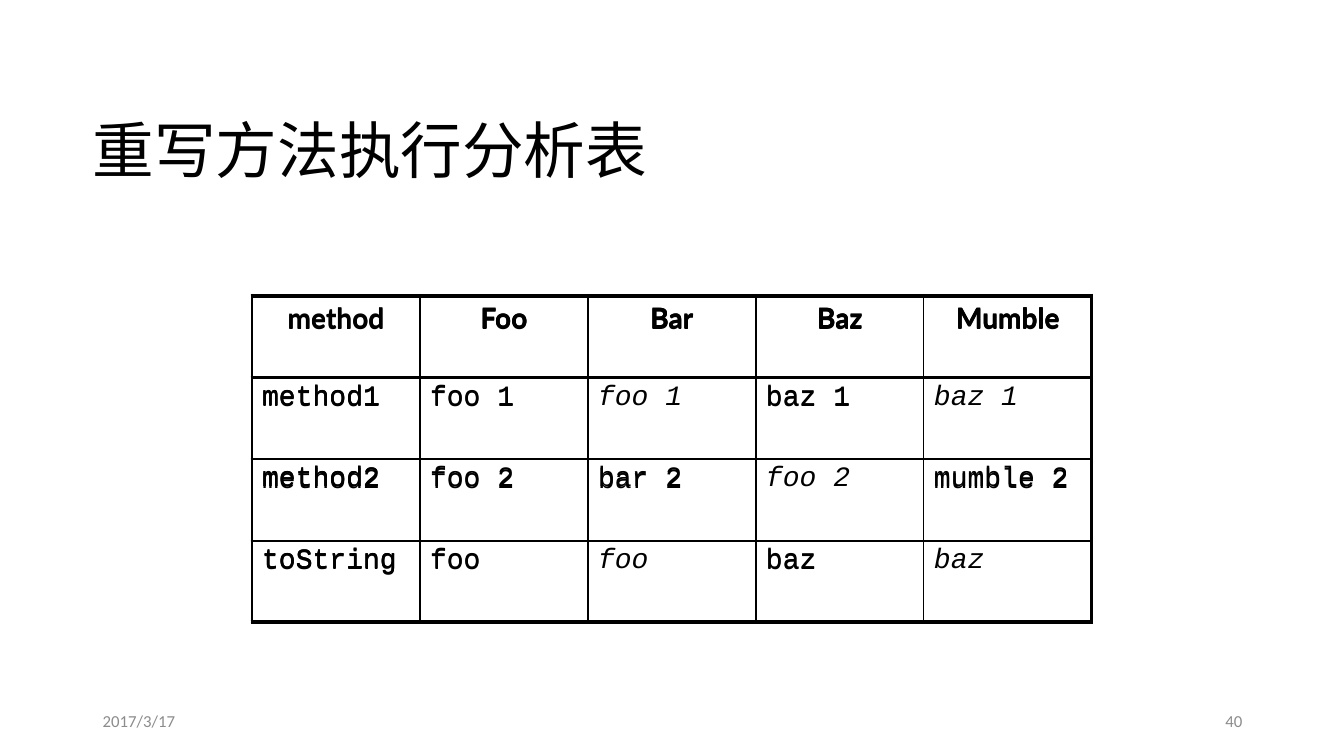
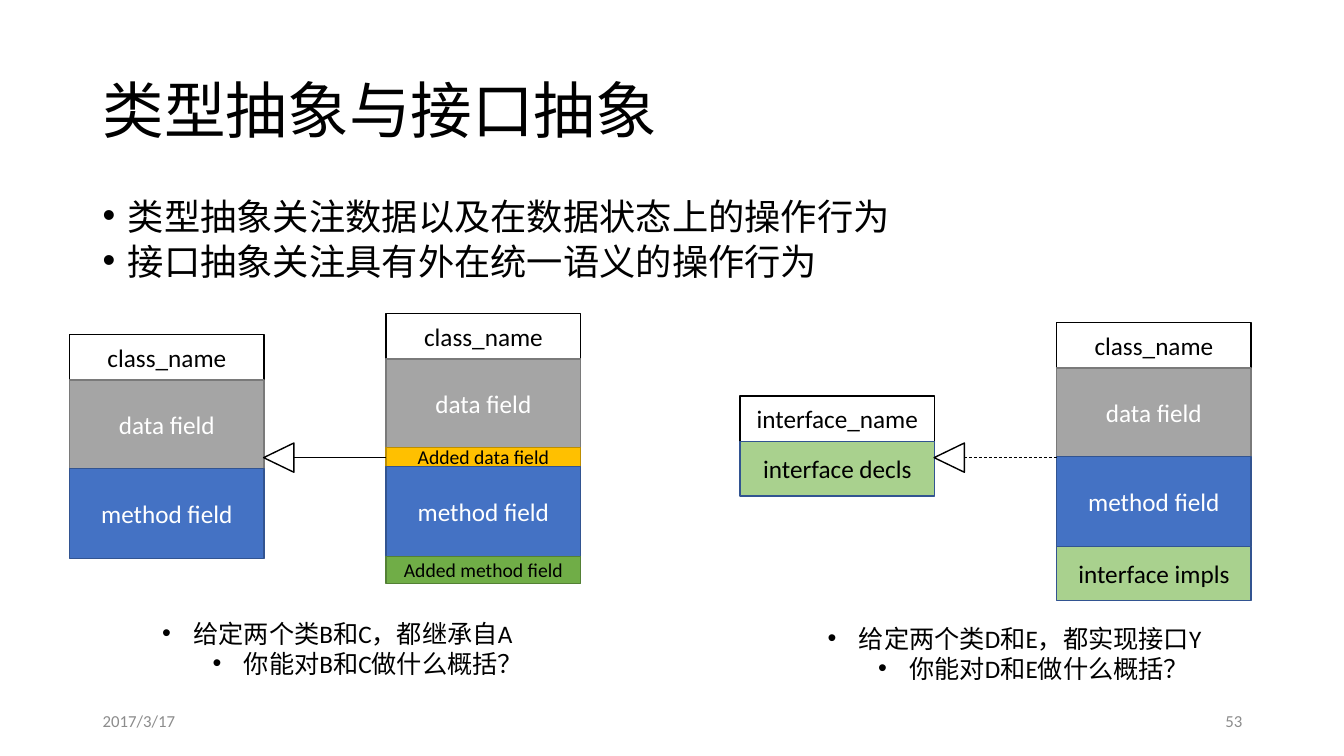
from lxml.etree import SubElement
from pptx import Presentation
from pptx.dml.color import RGBColor
from pptx.enum.dml import MSO_LINE
from pptx.enum.shapes import MSO_CONNECTOR, MSO_SHAPE
from pptx.enum.text import MSO_ANCHOR as Anchor, PP_ALIGN as Align
from pptx.oxml.ns import qn
from pptx.util import Inches, Pt

SLIDE_W, SLIDE_H = 13.33, 7.5
MARGIN = 0.92
CONTENT_W = 11.5
FOOTER_TOP, FOOTER_W, FOOTER_H = 6.95, 3, 0.4
DATE = "2017/3/17"
BLACK, WHITE, FOOTER_GREY = "000000", "FFFFFF", "8C8C8C"
BODY_FONT, HEAD_FONT, CODE_FONT, BULLET_FONT = "Calibri", "Lato", "Courier New", "Arial"

OVERRIDE_TITLE = "重写方法执行分析表"
OVERRIDE_ROWS = [
    ["method", "Foo", "Bar", "Baz", "Mumble"],
    ["method1", "foo 1", "foo 1", "baz 1", "baz 1"],
    ["method2", "foo 2", "bar 2", "foo 2", "mumble 2"],
    ["toString", "foo", "foo", "baz", "baz"],
]
ROW_COUNT, COL_COUNT = len(OVERRIDE_ROWS), len(OVERRIDE_ROWS[0])
CORNER = {(0, 0)}
ALL_CELLS = {(r, c) for r in range(ROW_COUNT) for c in range(COL_COUNT)}
LABELS = {(r, c) for r, c in ALL_CELLS if r == 0 or c == 0}
INHERITED = {(1, 2), (1, 4), (2, 3), (3, 2), (3, 4)}
ANALYSIS_STEPS = [
    (2.93, LABELS),
    (2.94, ALL_CELLS - INHERITED),
    (2.93, ALL_CELLS - CORNER),
]
TABLE_LEFT, TABLE_W, ROW_H = 2.5, 8.33, 0.81

ABSTRACTION_TITLE = "类型抽象与接口抽象"
ABSTRACTION_POINTS = [
    "类型抽象关注数据以及在数据状态上的操作行为",
    "接口抽象关注具有外在统一语义的操作行为",
]
LAYER_STYLES = {
    "name": (0.45, WHITE, BLACK, BLACK, 18),
    "data": (0.88, "A5A5A5", "7A7A7A", WHITE, 18),
    "method": (0.89, "4472C4", "325491", WHITE, 18),
    "added data": (0.19, "FFC000", "BD8E00", BLACK, 14),
    "added method": (0.27, "70AD47", "538035", BLACK, 14),
    "interface": (0.54, "A9D18E", "325491", BLACK, 18),
}
CLASS_LAYERS = [("name", "class_name"), ("data", "data field"), ("method", "method field")]
SUBCLASS_LAYERS = [
    *CLASS_LAYERS[:2],
    ("added data", "Added data field"),
    CLASS_LAYERS[2],
    ("added method", "Added method field"),
]
INTERFACE_LAYERS = [("name", "interface_name"), ("interface", "interface decls")]
IMPLEMENTER_LAYERS = [*CLASS_LAYERS, ("interface", "interface impls")]
UML_BOXES = [
    (0.69, 3.32, CLASS_LAYERS),
    (3.83, 3.11, SUBCLASS_LAYERS),
    (7.34, 3.93, INTERFACE_LAYERS),
    (10.48, 3.2, IMPLEMENTER_LAYERS),
]
UML_W = 1.93
RELATION_Y = 4.54
RELATIONS = [(0, 1, False), (2, 3, True)]
ARROW_W, ARROW_H = 0.29, 0.3
QUESTIONS = [
    (8.11, 6.13, 4.19, ["给定两个类D和E，都实现接口Y", "你能对D和E做什么概括？"]),
    (1.51, 6.08, 4.12, ["给定两个类B和C，都继承自A", "你能对B和C做什么概括？"]),
]


def color(value):
    return RGBColor.from_string(value)


def style(paragraph, size, ink=BLACK, font=BODY_FONT, bold=False, italic=False):
    for run in paragraph.runs:
        run.font.size = Pt(size)
        run.font.name = font
        run.font.color.rgb = color(ink)
        run.font.bold = bold
        run.font.italic = italic


def add_text(slide, box, lines, size, ink=BLACK, anchor=Anchor.TOP, align=Align.LEFT, spacing=None):
    frame = slide.shapes.add_textbox(*map(Inches, box)).text_frame
    frame.word_wrap = True
    frame.vertical_anchor = anchor
    frame.text = "\n".join(lines)
    for paragraph in frame.paragraphs:
        paragraph.alignment = align
        if spacing:
            paragraph.line_spacing = spacing
        style(paragraph, size, ink)
    return frame


def add_bullet(paragraph, left, hang):
    props = paragraph._p.get_or_add_pPr()
    props.set("marL", str(Inches(left)))
    props.set("indent", str(-Inches(hang)))
    SubElement(props, qn("a:buFont"), typeface=BULLET_FONT)
    SubElement(props, qn("a:buChar"), char="•")


def start_slide(deck, title, number, anchor):
    slide = deck.slides.add_slide(deck.slide_layouts[6])
    heading = add_text(slide, (MARGIN, 0.4, CONTENT_W, 1.45), [title], 44, anchor=anchor, spacing=0.9)
    right = MARGIN + CONTENT_W - FOOTER_W
    for left, label, align in [(MARGIN, DATE, Align.LEFT), (right, number, Align.RIGHT)]:
        add_text(slide, (left, FOOTER_TOP, FOOTER_W, FOOTER_H), [label], 12, FOOTER_GREY, Anchor.MIDDLE, align)
    return slide, heading


def set_borders(cell, widths):
    props = cell._tc.get_or_add_tcPr()
    for side, width in zip("LRTB", widths):
        border = SubElement(props, qn(f"a:ln{side}"), w=str(Pt(width)))
        SubElement(SubElement(border, qn("a:solidFill")), qn("a:srgbClr"), val=BLACK)
    cell.fill.background()


def add_analysis_table(slide, top, shown):
    box = (TABLE_LEFT, top, TABLE_W, ROW_H * ROW_COUNT)
    table = slide.shapes.add_table(ROW_COUNT, COL_COUNT, *map(Inches, box)).table
    table.first_row = table.horz_banding = False
    for r, c in sorted(ALL_CELLS):
        cell = table.cell(r, c)
        outer = (c == 0, c == COL_COUNT - 1, r == 0, r == ROW_COUNT - 1)
        set_borders(cell, [2.25 if edge else 1 for edge in outer])
        if (r, c) not in shown:
            continue
        cell.text = OVERRIDE_ROWS[r][c]
        paragraph = cell.text_frame.paragraphs[0]
        paragraph.space_before = Pt(4)
        paragraph.alignment = Align.LEFT if r else Align.CENTER
        style(paragraph, 20, font=CODE_FONT if r else HEAD_FONT, bold=r == 0, italic=(r, c) in INHERITED)


def add_figure(slide, kind, box, fill, line):
    figure = slide.shapes.add_shape(kind, *map(Inches, box))
    figure.shadow.inherit = False
    figure.fill.solid()
    figure.fill.fore_color.rgb = color(fill)
    figure.line.color.rgb = color(line)
    figure.line.width = Pt(1)
    return figure


def add_uml_box(slide, left, top, layers):
    for kind, label in layers:
        height, fill, line, ink, size = LAYER_STYLES[kind]
        layer = add_figure(slide, MSO_SHAPE.RECTANGLE, (left, top, UML_W, height), fill, line)
        frame = layer.text_frame
        frame.text = label
        frame.word_wrap = True
        frame.vertical_anchor = Anchor.MIDDLE
        frame.paragraphs[0].alignment = Align.CENTER
        style(frame.paragraphs[0], size, ink)
        top += height


def add_relation(slide, parent, child, dashed):
    tip = UML_BOXES[parent][0] + UML_W
    box = (tip, RELATION_Y - ARROW_H / 2, ARROW_W, ARROW_H)
    add_figure(slide, MSO_SHAPE.ISOSCELES_TRIANGLE, box, WHITE, BLACK).rotation = 270
    ends = (tip + ARROW_W, RELATION_Y, UML_BOXES[child][0], RELATION_Y)
    stem = slide.shapes.add_connector(MSO_CONNECTOR.STRAIGHT, *map(Inches, ends))
    stem.line.color.rgb = color(BLACK)
    stem.line.width = Pt(0.5)
    if dashed:
        stem.line.dash_style = MSO_LINE.DASH
    SubElement(stem._element.spPr, qn("a:effectLst"))


def build_override_slide(deck):
    slide, heading = start_slide(deck, OVERRIDE_TITLE, "40", Anchor.BOTTOM)
    heading.margin_left = heading.margin_right = heading.margin_bottom = 0
    for top, shown in ANALYSIS_STEPS:
        add_analysis_table(slide, top, shown)


def build_abstraction_slide(deck):
    slide, _ = start_slide(deck, ABSTRACTION_TITLE, "53", Anchor.MIDDLE)
    points = add_text(slide, (MARGIN, 2, CONTENT_W, 0.87), ABSTRACTION_POINTS, 25.9, spacing=0.7)
    for paragraph in points.paragraphs:
        paragraph.space_before = Pt(10)
        add_bullet(paragraph, 0.25, 0.25)
    for left, top, layers in UML_BOXES:
        add_uml_box(slide, left, top, layers)
    for parent, child, dashed in RELATIONS:
        add_relation(slide, parent, child, dashed)
    for left, top, width, lines in QUESTIONS:
        question = add_text(slide, (left, top, width, 0.71), lines, 18)
        for level, paragraph in enumerate(question.paragraphs):
            paragraph.level = level
            add_bullet(paragraph, 0.31 + level * 0.5, 0.31)


def main():
    deck = Presentation()
    deck.slide_width, deck.slide_height = Inches(SLIDE_W), Inches(SLIDE_H)
    build_override_slide(deck)
    build_abstraction_slide(deck)
    deck.save("out.pptx")


if __name__ == "__main__":
    main()
